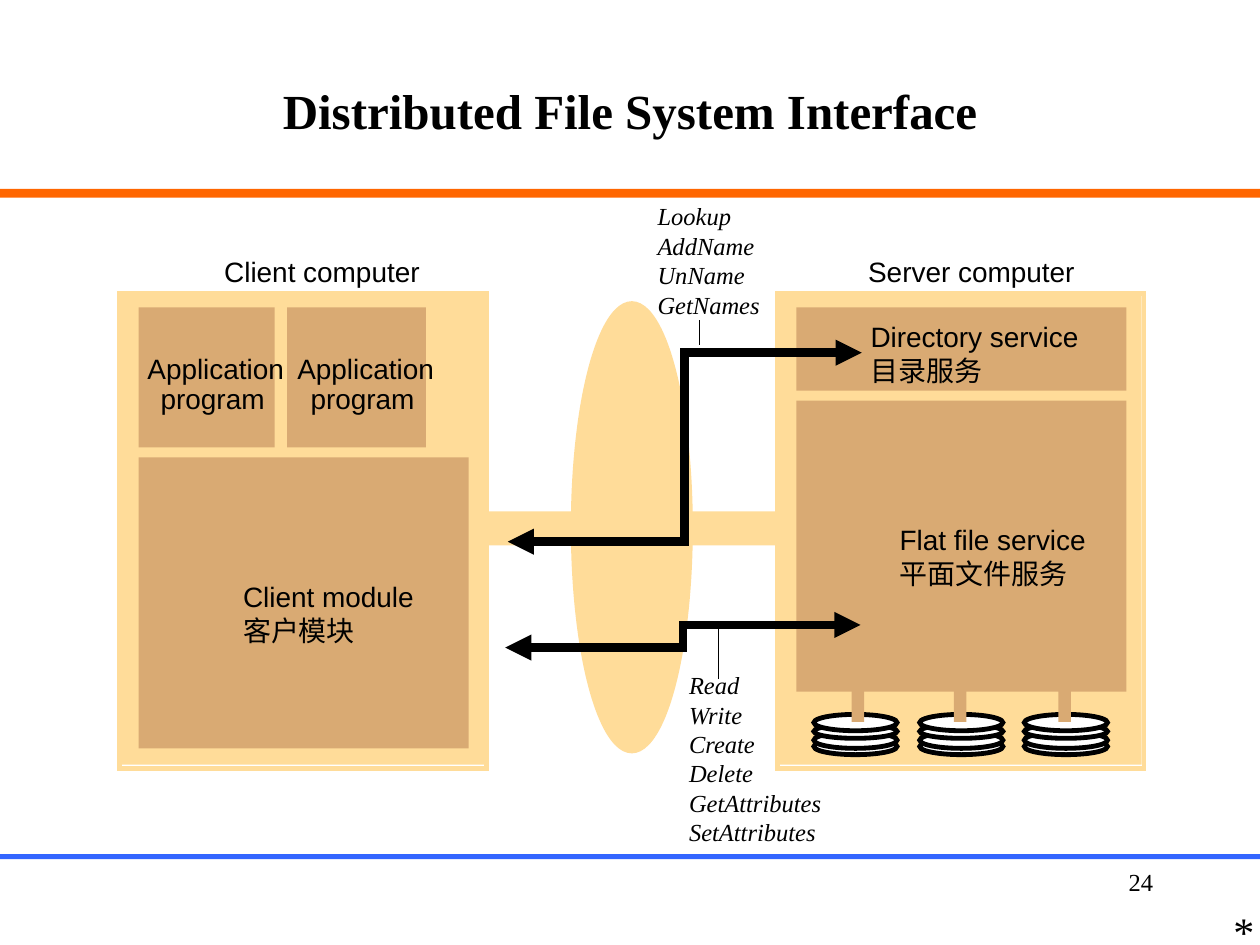
from lxml import etree
from pptx import Presentation
from pptx.dml.color import RGBColor
from pptx.enum.shapes import MSO_CONNECTOR, MSO_SHAPE
from pptx.enum.text import MSO_ANCHOR, MSO_AUTO_SIZE, PP_ALIGN
from pptx.oxml.ns import qn
from pptx.util import Inches, Pt

BLACK = RGBColor(0x00, 0x00, 0x00)
WHITE = RGBColor(0xFF, 0xFF, 0xFF)
ORANGE = RGBColor(0xFF, 0x66, 0x00)
BLUE = RGBColor(0x33, 0x66, 0xFF)
CREAM = RGBColor(0xFF, 0xDC, 0x99)
TAN = RGBColor(0xD9, 0xAA, 0x73)

RECTANGLE, OVAL = MSO_SHAPE.RECTANGLE, MSO_SHAPE.OVAL
STRAIGHT, ELBOW = MSO_CONNECTOR.STRAIGHT, MSO_CONNECTOR.ELBOW
LEFT, CENTER, RIGHT = PP_ALIGN.LEFT, PP_ALIGN.CENTER, PP_ALIGN.RIGHT
MIDDLE = MSO_ANCHOR.MIDDLE
GROW = MSO_AUTO_SIZE.SHAPE_TO_FIT_TEXT

COLUMNS, ROWS = 100, 75
SANS, SERIF = "Arial", "Times New Roman"


class DiagramSlide:
    """Draws on one slide; every length is in columns and rows of its grid."""

    outline_width = 2.75
    label_size = 16
    operation_size = 14

    def __init__(self, presentation):
        self.column = presentation.slide_width / COLUMNS
        self.row = presentation.slide_height / ROWS
        self.slide = presentation.slides.add_slide(presentation.slide_layouts[5])

    def place(self, left, top, width, height):
        return (round(left * self.column), round(top * self.row),
                round(width * self.column), round(height * self.row))

    def format_text(self, frame, size, font=SERIF, align=LEFT, bold=False, italic=False):
        for paragraph in frame.paragraphs:
            paragraph.alignment = align
            for run in paragraph.runs:
                run.font.size = Pt(size)
                run.font.name = font
                run.font.bold = bold
                run.font.italic = italic
                run.font.color.rgb = BLACK

    def format_line(self, line, color, width):
        line.color.rgb = color
        line.width = Pt(width)
        # Square corners
        element = line._get_or_add_ln()
        etree.SubElement(element, qn("a:miter"), lim="800000")
        return element

    def title(self, text, *box):
        title = self.slide.shapes.title
        title.left, title.top, title.width, title.height = self.place(*box)
        title.text_frame.text = text
        title.text_frame.vertical_anchor = MIDDLE
        self.format_text(title.text_frame, 28, align=CENTER, bold=True)

    def block(self, *box, fill=None, line=None, kind=RECTANGLE):
        shape = self.slide.shapes.add_shape(kind, *self.place(*box))
        shape.shadow.inherit = False
        if fill is None:
            shape.fill.background()
        else:
            shape.fill.solid()
            shape.fill.fore_color.rgb = fill
        if line is None:
            shape.line.fill.background()
        else:
            self.format_line(shape.line, line, self.outline_width)

    def text(self, text, *box, size, wrap=False, **style):
        frame = self.slide.shapes.add_textbox(*self.place(*box)).text_frame
        frame.word_wrap = wrap
        frame.auto_size = GROW
        frame.text = text
        self.format_text(frame, size, **style)
        return frame

    def label(self, text, *box):
        frame = self.text(text, *box, size=self.label_size, font=SANS)
        frame.margin_left = frame.margin_right = 0
        frame.margin_top = frame.margin_bottom = 0

    def operations(self, text, *box):
        self.text(text, *box, size=self.operation_size, italic=True)

    def connector(self, kind, start, end, width, arrows=False):
        points = self.place(*start, *end)
        connector = self.slide.shapes.add_connector(kind, *points)
        line = self.format_line(connector.line, BLACK, width)
        if arrows:
            for tag in ("a:headEnd", "a:tailEnd"):
                etree.SubElement(line, qn(tag), type="triangle")
        etree.SubElement(connector._element.spPr, qn("a:effectLst"))

    def computer(self, left, top):
        self.block(left, top, 28.9, 37.4, fill=CREAM)
        self.block(left, top, 29.1, 37.7, line=CREAM)

    def application(self, left, width, label_left):
        self.block(left, 24.4, width, 11.1, fill=TAN)
        self.label("Application", label_left, 27.9, 10.9, 2.7)
        self.label("program", label_left + 1.05, 30.3, 8.3, 2.7)

    def disk(self, left, stem_left):
        for top, height in ((58.6, 1.3), (58.1, 1.3), (57.5, 1.1), (56.7, 1.3)):
            self.block(left, top, 6.6, height, fill=WHITE, line=BLACK, kind=OVAL)
        self.block(stem_left, 52, 1, 5.3, fill=TAN)


def main():
    presentation = Presentation()
    presentation.slide_width, presentation.slide_height = Inches(10), Inches(7.5)
    diagram = DiagramSlide(presentation)

    # Rules, page number and title
    diagram.block(0, 15, COLUMNS, 0.7, fill=ORANGE)
    diagram.block(0, 67.8, COLUMNS, 0.4, fill=BLUE)
    diagram.text("24", 71.7, 68.3, 20.8, 5, size=14, wrap=True, align=RIGHT)
    diagram.title("Distributed File System Interface", 7.5, 2.5, 85, 12.5)

    # Computers and the network between them
    diagram.computer(61.7, 23.3)
    diagram.computer(9.5, 23.3)
    diagram.label("Client computer", 17.8, 20.2, 15.7, 2.7)
    diagram.label("Server computer", 68.9, 20.2, 16.5, 2.7)
    diagram.block(45.5, 24.1, 9.3, 35.5, fill=CREAM, line=CREAM, kind=OVAL)

    # Client parts
    diagram.block(11, 36.3, 26.2, 23.1, fill=TAN)
    diagram.application(11, 10.8, 11.7)
    diagram.application(22.8, 11, 23.6)
    diagram.label("Client module\n客户模块", 19.3, 46, 13.6, 5.3)

    # Server parts
    diagram.block(63.2, 31.8, 26.2, 23.1, fill=TAN)
    diagram.label("Flat file service\n平面文件服务", 71.4, 41.5, 14.8, 5.3)
    diagram.block(63.2, 24.4, 26.2, 6.6, fill=TAN)
    diagram.label("Directory service\n目录服务", 69.1, 25.4, 16.7, 5.3)
    diagram.block(37.7, 40.6, 25, 2.7, fill=CREAM)
    for left, stem_left in ((81.3, 84), (73, 75.7), (64.6, 67.6)):
        diagram.disk(left, stem_left)

    # Calls from client to server
    diagram.connector(ELBOW, (40.3, 43), (68.4, 28), 5, arrows=True)
    diagram.connector(ELBOW, (40.1, 51.4), (68.3, 49.6), 5, arrows=True)

    # Operations of each service
    diagram.operations("Lookup\vAddName\nUnName\nGetNames", 51.2, 15.5, 10.1, 10.4)
    diagram.operations("Read\vWrite\nCreate\nDelete\nGetAttributes\nSetAttributes",
                       53.7, 52.7, 12.5, 15)
    diagram.connector(STRAIGHT, (57, 53.9), (57, 49.5), 0.75)
    diagram.connector(STRAIGHT, (55.5, 25.4), (55.5, 27.4), 0.75)

    # Footnote mark
    diagram.text("*", 96.9, 71.4, 3.1, 5, size=24, wrap=True)

    presentation.save("out.pptx")


if __name__ == "__main__":
    main()
